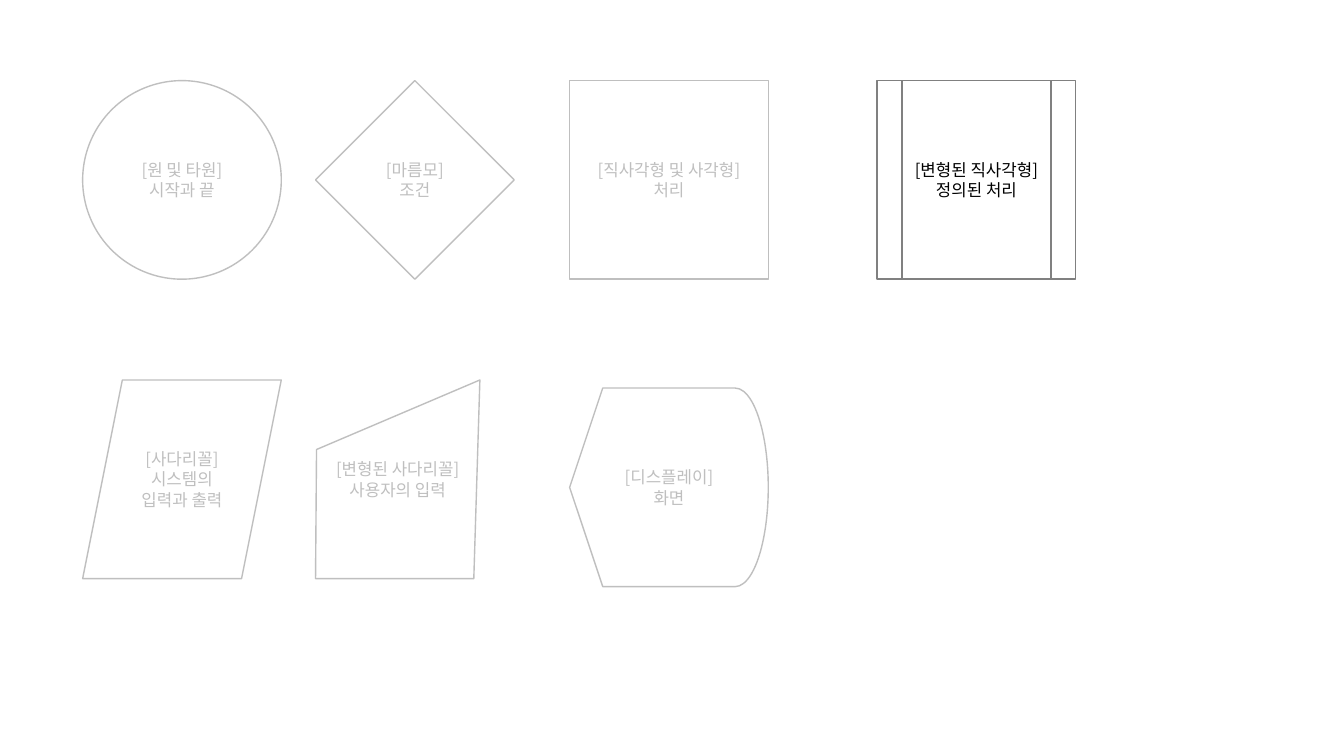
from lxml import etree
from pptx import Presentation
from pptx.dml.color import RGBColor
from pptx.enum.shapes import MSO_SHAPE
from pptx.enum.text import MSO_ANCHOR, PP_ALIGN
from pptx.oxml.ns import qn
from pptx.util import Emu, Pt

PX = 9144  # EMU per px, 100 px to the inch
SLIDE_W, SLIDE_H = 1333, 750
SIDE = 197
COLS = [82, 313, 565, 870]
TOP_ROW, BOTTOM_ROW, DISPLAY_TOP = 80, 377, 385
FONT = "Noto Sans CJK KR"
COLORS = {"white": "FFFFFF", "muted": "BFBFBF", "frame": "808080", "black": "000000"}

MUTED = ("muted", "muted")
ACTIVE = ("frame", "black")
MANUAL_INPUT = [(0, 197), (1, 69), (163, 0), (157, 197)]  # outline within its cell

# outline, column, top, (line, text colour), lines of text
SYMBOLS = [
    (MSO_SHAPE.OVAL, 0, TOP_ROW, MUTED, ["[원 및 타원]", "시작과 끝"]),
    (MSO_SHAPE.FLOWCHART_DECISION, 1, TOP_ROW, MUTED, ["[마름모]", "조건"]),
    (MSO_SHAPE.FLOWCHART_PROCESS, 2, TOP_ROW, MUTED, ["[직사각형 및 사각형]", "처리"]),
    (MSO_SHAPE.FLOWCHART_DATA, 0, BOTTOM_ROW, MUTED, ["[사다리꼴]", "시스템의 입력과 출력"]),
    (MANUAL_INPUT, 1, BOTTOM_ROW, MUTED, ["[변형된 사다리꼴]", "사용자의 입력"]),
    (MSO_SHAPE.FLOWCHART_PREDEFINED_PROCESS, 3, TOP_ROW, ACTIVE,
     ["[변형된 직사각형]", "정의된 처리"]),
    (MSO_SHAPE.FLOWCHART_DISPLAY, 2, DISPLAY_TOP, MUTED, ["[디스플레이]", "화면"]),
]


def px(n):
    return Emu(n * PX)


def rgb(name):
    return RGBColor.from_string(COLORS[name])


def add_outline(s, outline, left, top):
    """Add a preset shape, or a freeform when the outline is a list of points."""
    if not isinstance(outline, list):
        return s.shapes.add_shape(outline, px(left), px(top), px(SIDE), px(SIDE))
    points = [(left + x, top + y) for x, y in outline]
    builder = s.shapes.build_freeform(*points[0], scale=PX)
    builder.add_line_segments(points[1:], close=True)
    return builder.convert_to_shape()


def write_lines(tf, lines, color):
    tf.word_wrap = True
    tf.vertical_anchor = MSO_ANCHOR.MIDDLE
    for i, line in enumerate(lines):
        p = tf.add_paragraph() if i else tf.paragraphs[0]
        p.alignment = PP_ALIGN.CENTER
        r = p.add_run()
        r.text = line
        r.font.size = Pt(12)
        r.font.color.rgb = rgb(color)
        r.font.name = FONT
        etree.SubElement(r.font._element, qn("a:ea"), typeface=FONT)


def main():
    prs = Presentation()
    prs.slide_width, prs.slide_height = px(SLIDE_W), px(SLIDE_H)
    s = prs.slides.add_slide(prs.slide_layouts[6])
    for outline, col, top, (line_color, text_color), lines in SYMBOLS:
        sp = add_outline(s, outline, COLS[col], top)
        sp.shadow.inherit = False
        sp.fill.solid()
        sp.fill.fore_color.rgb = rgb("white")
        sp.line.color.rgb = rgb(line_color)
        sp.line.width = Pt(1)
        write_lines(sp.text_frame, lines, text_color)
    prs.save("out.pptx")


if __name__ == "__main__":
    main()
